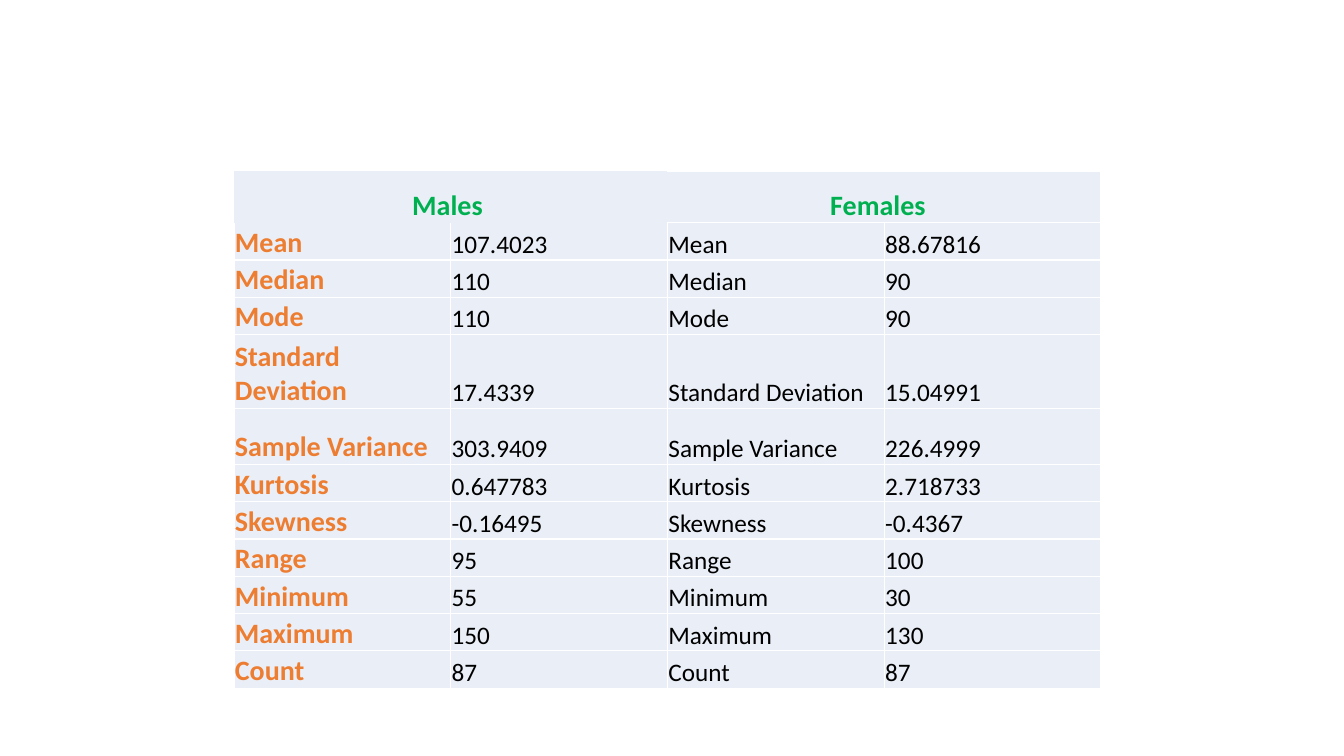
from pptx import Presentation
from pptx import util as u
from pptx.dml.color import RGBColor
from pptx.enum import text
from pptx.oxml import ns
from lxml import etree

GREEN = RGBColor(0x00, 0xB0, 0x50)
ORANGE = RGBColor(0xED, 0x7D, 0x31)
BLACK = RGBColor(0x00, 0x00, 0x00)
PALE_BLUE = RGBColor(0xEA, 0xEF, 0xF7)
WHITE = RGBColor(0xFF, 0xFF, 0xFF)

COLUMN = u.Inches(2.15)
ROW = u.Inches(0.37)
TALL_ROWS = {0: u.Inches(0.51), 4: u.Inches(0.73), 5: u.Inches(0.56)}

STATISTICS = [
    ("Mean", "107.4023", "88.67816"),
    ("Median", "110", "90"),
    ("Mode", "110", "90"),
    ("Standard Deviation", "17.4339", "15.04991"),
    ("Sample Variance", "303.9409", "226.4999"),
    ("Kurtosis", "0.647783", "2.718733"),
    ("Skewness", "-0.16495", "-0.4367"),
    ("Range", "95", "100"),
    ("Minimum", "55", "30"),
    ("Maximum", "150", "130"),
    ("Count", "87", "87"),
]


def set_borders(cell, white_edges):
    properties = cell._tc.get_or_add_tcPr()
    for position, edge in enumerate("LRTB"):
        line = etree.Element(ns.qn("a:ln" + edge), w=str(u.Pt(1)))
        if edge in white_edges:
            fill = etree.SubElement(line, ns.qn("a:solidFill"))
            etree.SubElement(fill, ns.qn("a:srgbClr"), val=str(WHITE))
        else:
            etree.SubElement(line, ns.qn("a:noFill"))
        properties.insert(position, line)


def fill_cell(cell, words, size, color, bold, white_edges):
    cell.fill.solid()
    cell.fill.fore_color.rgb = PALE_BLUE
    cell.margin_left = cell.margin_right = cell.margin_top = u.Inches(0.01)
    cell.margin_bottom = 0
    cell.vertical_anchor = text.MSO_ANCHOR.BOTTOM
    cell.text_frame.text = words
    font = cell.text_frame.paragraphs[0].runs[0].font
    font.name, font.size, font.bold = "Calibri", u.Pt(size), bold
    font.color.rgb = color
    set_borders(cell, white_edges)


presentation = Presentation()
presentation.slide_width = u.Inches(13.33)
presentation.slide_height = u.Inches(7.5)
slide = presentation.slides.add_slide(presentation.slide_layouts[6])

# Table grid
row_count = len(STATISTICS) + 1
heights = [TALL_ROWS.get(index, ROW) for index in range(row_count)]
table = slide.shapes.add_table(row_count, 4, u.Inches(2.32), u.Inches(1.7),
                               4 * COLUMN, sum(heights)).table
table.first_row = table.horz_banding = False
for column in table.columns:
    column.width = COLUMN
for row, height in zip(table.rows, heights):
    row.height = height

# Group headings, each across two columns
for column, heading, edges in ((0, "Males ", ""), (2, "Females \u00a0", "TRB")):
    cell = table.cell(0, column)
    cell.merge(table.cell(0, column + 1))
    fill_cell(cell, heading, 20, GREEN, True, edges)
    cell.text_frame.paragraphs[0].alignment = text.PP_ALIGN.CENTER
    fill = table.cell(0, column + 1).fill
    fill.solid()
    fill.fore_color.rgb = PALE_BLUE
    set_borders(table.cell(0, column + 1), edges)

# Statistics
for row, (name, males, females) in enumerate(STATISTICS, start=1):
    for column, words in enumerate((name, males, name, females)):
        is_label = column == 0
        edges = "LRB" if row == 1 and column < 2 else "LRTB"
        fill_cell(table.cell(row, column), words, 20 if is_label else 18,
                  ORANGE if is_label else BLACK, is_label, edges)

presentation.save("out.pptx")
